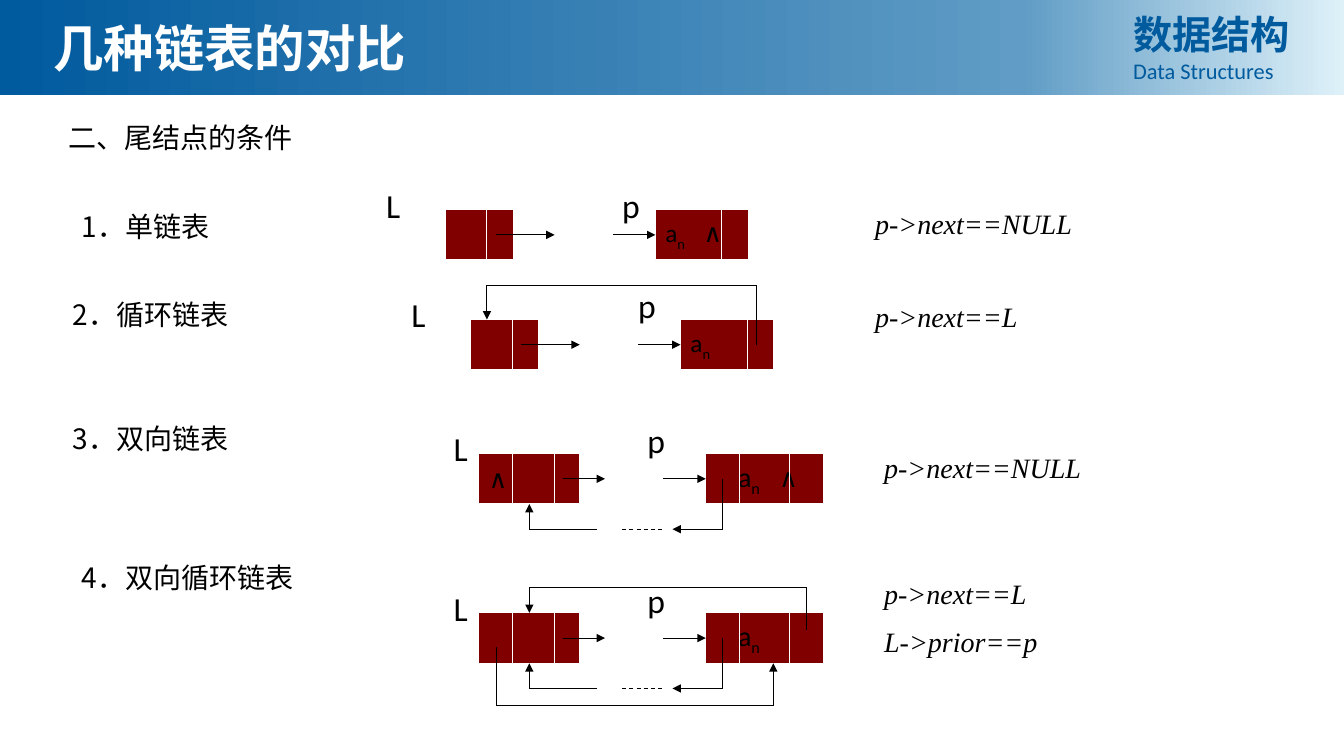
from copy import deepcopy
from itertools import pairwise

from lxml.etree import SubElement
from pptx import Presentation
from pptx.dml.color import RGBColor
from pptx.enum.dml import MSO_LINE
from pptx.enum.shapes import MSO_CONNECTOR, MSO_SHAPE
from pptx.enum.text import MSO_ANCHOR, PP_ALIGN
from pptx.oxml.ns import qn
from pptx.util import Inches, Pt

BLACK, WHITE, MAROON, BLUE = "000000", "FFFFFF", "800000", "005A9E"
HAN, LATIN, SERIF = "Noto Sans CJK SC", "Calibri", "Times New Roman"
NODE_HEIGHT = 0.5
HEADING = {"size": 20, "name": HAN}
FORMULA = {"size": 20, "name": SERIF, "italic": True}
POINTER = {"size": 24, "name": LATIN}


def rgb(value):
    return RGBColor.from_string(value)


def add_span(para, text, color=BLACK, baseline=0, **font):
    span = para.add_run()
    span.text = text
    font["size"] = Pt(font["size"])
    for name, value in font.items():
        setattr(span.font, name, value)
    span.font.color.rgb = rgb(color)
    properties = span._r.get_or_add_rPr()
    SubElement(properties, qn("a:ea")).set("typeface", font["name"])
    if baseline:
        properties.set("baseline", str(baseline))


def set_frame(frame, **values):
    for name, value in values.items():
        setattr(frame, name, value)


def add_text(page, left, top, width, height, lines, margin=True, gap=0, align=PP_ALIGN.LEFT):
    box = page.shapes.add_textbox(*map(Inches, (left, top, width, height)))
    frame = box.text_frame
    frame.word_wrap = True
    if not margin:
        set_frame(frame, margin_left=0, margin_right=0, margin_top=0, margin_bottom=0)
    for index, (text, font) in enumerate(lines):
        para = frame.add_paragraph() if index else frame.paragraphs[0]
        para.alignment = align
        if index:
            para.space_before = Pt(gap)
        add_span(para, text, **font)


def add_pointer(page, left, top, name):
    add_text(page, left, top, 0.42, 0.4, [(name, POINTER)], margin=False)


def add_route(page, points, color=BLACK, arrow=True, dashed=False):
    for start, end in pairwise(points):
        link = page.shapes.add_connector(MSO_CONNECTOR.STRAIGHT, *map(Inches, start + end))
        link.line.width = Pt(0.75)
        link.line.color.rgb = rgb(color)
        if dashed:
            link.line.dash_style = MSO_LINE.DASH
        if arrow and end == points[-1]:
            SubElement(link.line._get_or_add_ln(), qn("a:tailEnd")).set("type", "triangle")
        SubElement(link._element.spPr, qn("a:effectLst"))


def add_node(page, left, top, width, dividers, spans=(), indent=0.1, tab=None):
    node = page.shapes.add_shape(
        MSO_SHAPE.RECTANGLE, *map(Inches, (left, top, width, NODE_HEIGHT)))
    node.shadow.inherit = False
    node.fill.solid()
    node.fill.fore_color.rgb = rgb(MAROON)
    node.line.color.rgb = rgb(WHITE)
    node.line.width = Pt(0.75)
    if spans:
        set_frame(node.text_frame, word_wrap=True, vertical_anchor=MSO_ANCHOR.MIDDLE,
                  margin_left=Inches(indent), margin_right=0)
        para = node.text_frame.paragraphs[0]
        para.alignment = PP_ALIGN.LEFT
        if tab:
            stops = SubElement(para._p.get_or_add_pPr(), qn("a:tabLst"))
            stop = SubElement(stops, qn("a:tab"))
            stop.set("pos", str(Inches(tab)))
            stop.set("algn", "l")
        for text, size, baseline in spans:
            add_span(para, text, baseline=baseline, size=size, name=LATIN)
    for offset in dividers:
        x = left + offset
        add_route(page, [(x, top), (x, top + NODE_HEIGHT)], WHITE, arrow=False)


def tail_spans(size, is_null):
    spans = [("a", size, 0), ("n", size, -25000)]
    return spans + [("\t∧", 18, 0)] if is_null else spans


def add_single_list(page, left, top, p_left, p_top, circular):
    middle = top + 0.25
    add_pointer(page, left - 0.59, top - 0.25, "L")
    add_pointer(page, p_left, p_top, "p")
    add_node(page, left, top, 0.67, [0.41])
    add_node(page, left + 2.08, top, 0.92, [0.66], tail_spans(18, not circular), tab=0.38)
    for start, end in ((0.5, 1.08), (1.66, 2.08)):
        add_route(page, [(left + start, middle), (left + end, middle)])
    if circular:
        above = top - 0.34
        add_route(page, [(left + 2.83, middle), (left + 2.83, above),
                         (left + 0.16, above), (left + 0.16, top)])


def add_double_list(page, left, top, circular):
    middle, bottom, below = top + 0.25, top + NODE_HEIGHT, top + 0.75
    add_pointer(page, left - 0.25, top - 0.25, "L")
    add_pointer(page, left + 1.67, top - 0.33, "p")
    add_node(page, left, top, 1, [0.33, 0.75], [] if circular else [("∧", 18, 0)])
    add_node(page, left + 2.25, top, 1.17, [0.33, 0.83],
             tail_spans(20, not circular), indent=0.32, tab=0.41)
    for start, end in ((0.83, 1.25), (1.83, 2.25)):
        add_route(page, [(left + start, middle), (left + end, middle)])
    add_route(page, [(left + 2.42, middle), (left + 2.42, below), (left + 1.92, below)])
    add_route(page, [(left + 1.42, below), (left + 1.83, below)], arrow=False, dashed=True)
    add_route(page, [(left + 1.17, below), (left + 0.5, below), (left + 0.5, bottom)])
    if circular:
        above, lowest = top - 0.25, top + 0.92
        add_route(page, [(left + 3.25, top + 0.17), (left + 3.25, above),
                         (left + 0.5, above), (left + 0.5, top)])
        add_route(page, [(left + 0.17, top + 0.34), (left + 0.17, lowest),
                         (left + 2.92, lowest), (left + 2.92, bottom)])


def add_banner(page):
    banner = page.shapes.add_shape(MSO_SHAPE.RECTANGLE, 0, 0, Inches(13.33), Inches(0.94))
    banner.shadow.inherit = False
    banner.line.fill.background()
    banner.fill.gradient()
    banner.fill.gradient_angle = 0
    stops = banner._element.spPr.find(".//" + qn("a:gsLst"))
    stops.append(deepcopy(stops[0]))
    colors = ((0, BLUE), (0.76, "609CC5"), (1, "DEF1F9"))
    for stop, (position, color) in zip(banner.fill.gradient_stops, colors):
        stop.position = position
        stop.color.rgb = rgb(color)
    title = {"size": 36, "name": HAN, "color": WHITE, "bold": True}
    add_text(page, 0.43, 0.12, 8.75, 0.71, [("几种链表的对比", title)])
    add_text(page, 11.14, 0.05, 1.91, 0.84, [
        ("数据结构", {"size": 28, "name": HAN, "color": BLUE, "bold": True}),
        ("Data Structures", {"size": 16, "name": LATIN, "color": BLUE}),
    ], align=PP_ALIGN.JUSTIFY)


def main():
    deck = Presentation()
    deck.slide_width, deck.slide_height = Inches(13.33), Inches(7.5)
    page = deck.slides.add_slide(deck.slide_layouts[6])
    add_banner(page)
    headings = (
        (0.58, 1.15, "二、尾结点的条件"),
        (0.71, 2.03, "1．单链表"),
        (0.62, 2.9, "2．循环链表"),
        (0.62, 4.13, "3．双向链表"),
        (0.71, 5.51, "4．双向循环链表"),
    )
    for left, top, text in headings:
        add_text(page, left, top, 2.75, 0.43, [(text, HEADING)])
    conditions = (
        (8.58, 2, ["p->next==NULL"]),
        (8.58, 2.92, ["p->next==L"]),
        (8.67, 4.42, ["p->next==NULL"]),
        (8.67, 5.67, ["p->next==L", "L->prior==p"]),
    )
    for left, top, formulas in conditions:
        add_text(page, left, top, 2.75, 0.43, [(text, FORMULA) for text in formulas], gap=10)
    add_single_list(page, 4.42, 2.08, 6.17, 1.83, circular=False)
    add_single_list(page, 4.67, 3.17, 6.33, 2.83, circular=True)
    add_double_list(page, 4.75, 4.5, circular=False)
    add_double_list(page, 4.75, 6.08, circular=True)
    deck.save("out.pptx")


if __name__ == "__main__":
    main()
